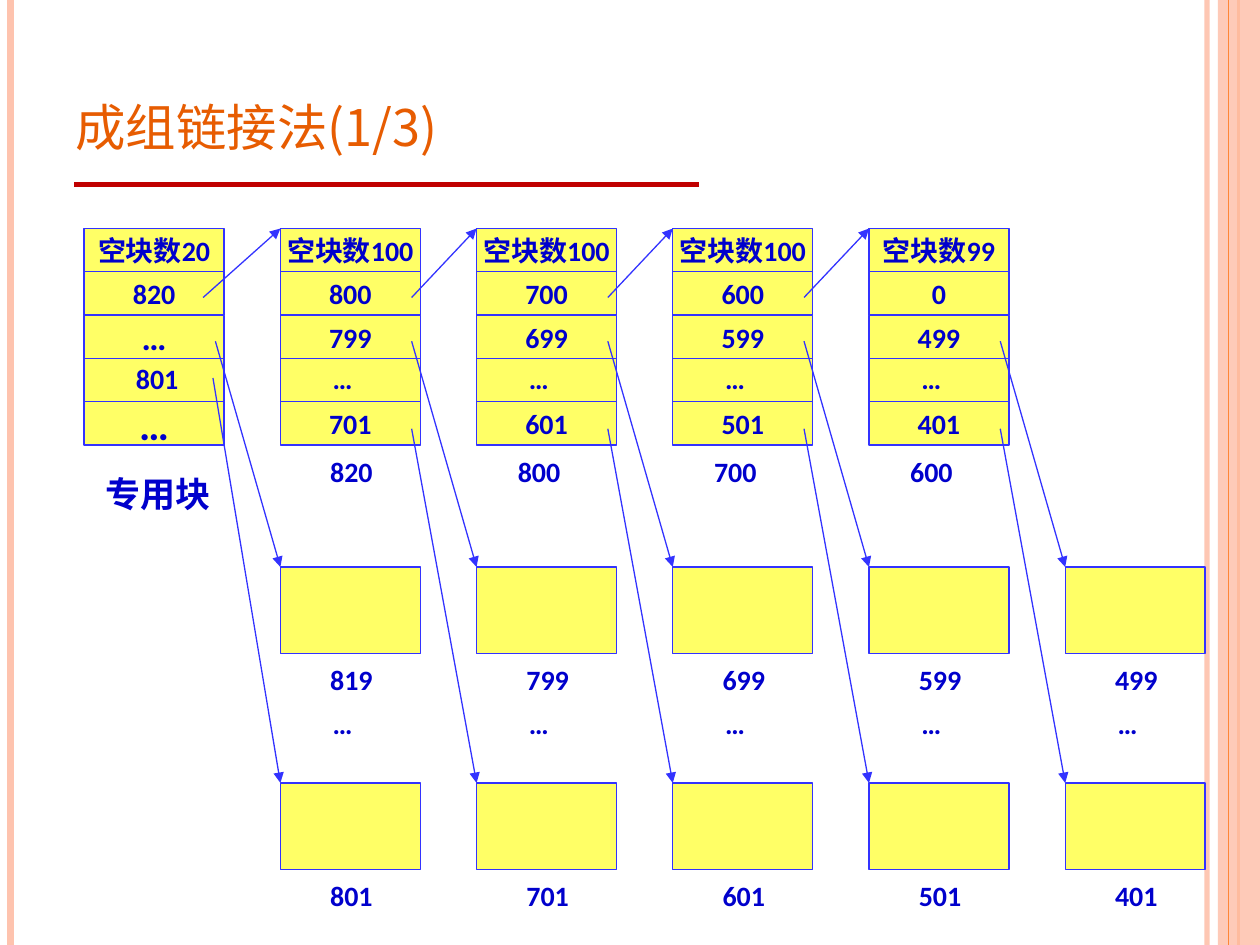
from dataclasses import dataclass

from lxml.etree import SubElement
from pptx import Presentation
from pptx.dml.color import RGBColor
from pptx.enum.shapes import MSO_CONNECTOR as CONN, MSO_SHAPE as SHAPE
from pptx.enum.text import MSO_ANCHOR as ANCHOR, MSO_AUTO_SIZE as AUTO, PP_ALIGN as ALIGN
from pptx.oxml.ns import qn
from pptx.util import Pt

BLUE, YELLOW, PINK, ORANGE = "3333FF", "FFFF66", "FEC3AE", "FE8637"
CJK = "Noto Sans CJK SC"
LEFT, PITCH, WIDTH = 48.1, 112.12, 80
TOP, ROW = 130.6, 24.75
BOX_TOPS, BOX_HEIGHT = (324, 447.4), 49.5


@dataclass
class Group:
    count: str
    first: str
    second: str
    third: str
    last: str
    label: str
    blocks: tuple[str, str]
    label_dx: float = 16.5
    second_size: float = 16
    last_size: float = 16
    third_dx: float = 22.8
    link_dx: float = 75
    next_dx: float = 75
    end_dx: float = 75
    end_y: float = 245


GROUPS = [
    Group("空块数20", "820", "…", "801", "…", "专用块", ("819", "801"), label_dx=5.2,
          second_size=20, last_size=24, third_dx=22.5, link_dx=68, end_dx=73.6, end_y=216),
    Group("空块数100", "800", "799", "…", "701", "820", ("799", "701"), label_dx=21.4),
    Group("空块数100", "700", "699", "…", "601", "800", ("699", "601")),
    Group("空块数100", "600", "599", "…", "501", "700", ("599", "501")),
    Group("空块数99", "0", "499", "…", "401", "600", ("499", "401")),
]


def color(value: str) -> RGBColor:
    return RGBColor.from_string(value)


def set_alpha(fill_owner, percent: int) -> None:
    clr = next(fill_owner.iter(qn("a:srgbClr")))
    SubElement(clr, qn("a:alpha"), val=str(percent * 1000))


def write(sp, text: str, *, size: float = 16, fill: str = "0000CC", bold: bool = True,
          font: str = "Calibri", align=ALIGN.LEFT, anchor=ANCHOR.TOP,
          wrap: bool = False, grow: bool = False, small_caps: bool = False) -> None:
    tf = sp.text_frame
    tf.word_wrap = wrap
    tf.vertical_anchor = anchor
    tf.auto_size = AUTO.SHAPE_TO_FIT_TEXT if grow else AUTO.NONE
    p = tf.paragraphs[0]
    p.alignment = align
    r = p.add_run()
    r.text = text
    r.font.size = Pt(size)
    r.font.bold = bold
    r.font.name = font
    r.font.color.rgb = color(fill)
    props = r.font._element
    SubElement(props, qn("a:ea"), typeface=CJK)
    if small_caps:
        props.set("cap", "small")


def add_label(s, text: str, x: float, y: float, w: float, h: float = 26.6, **fmt) -> None:
    sp = s.shapes.add_textbox(Pt(x), Pt(y), Pt(w), Pt(h))
    write(sp, text, **fmt)


def add_rect(s, x: float, y: float, w: float, h: float, fill: str = YELLOW,
             outline: str | None = BLUE):
    sp = s.shapes.add_shape(SHAPE.RECTANGLE, Pt(x), Pt(y), Pt(w), Pt(h))
    sp.shadow.inherit = False
    sp.fill.solid()
    sp.fill.fore_color.rgb = color(fill)
    if outline:
        sp.line.color.rgb = color(outline)
        sp.line.width = Pt(0.75)
    else:
        sp.line.fill.background()
    return sp


def add_line(s, x1: float, y1: float, x2: float, y2: float, stroke: str = BLUE,
             width: float = 0.75, arrow: bool = False):
    line = s.shapes.add_connector(CONN.STRAIGHT, Pt(x1), Pt(y1), Pt(x2), Pt(y2))
    line.line.color.rgb = color(stroke)
    line.line.width = Pt(width)
    props = line._element.spPr
    if arrow:
        SubElement(props.find(qn("a:ln")), qn("a:tailEnd"), type="triangle")
    SubElement(props, qn("a:effectLst"))
    return line


def add_frame(s) -> None:
    edge = add_line(s, 689.8, 0, 689.8, 540, PINK, 3)
    set_alpha(edge._element.spPr, 93)
    add_line(s, 6, 0, 6, 540, PINK, 4.5)
    add_line(s, 707.8, 0, 707.8, 540, ORANGE, 1.5)
    band = add_rect(s, 696, 0, 24, 540, PINK, None)
    set_alpha(band._element.spPr, 87)
    add_line(s, 702, 0, 702, 540, ORANGE)
    add_line(s, 42.3, 105.6, 399.5, 105.6, "C00000", 3)


def add_group(s, group: Group, x: float) -> None:
    cells = [(group.count, 16), (group.first, 16), (group.second, group.second_size),
             ("", 16), (group.last, group.last_size)]
    for i, (text, size) in enumerate(cells):
        sp = add_rect(s, x, TOP + i * ROW, WIDTH, ROW)
        if text:
            write(sp, text, size=size, align=ALIGN.CENTER, anchor=ANCHOR.MIDDLE)
    third_width = 26 if group.third == "…" else 38.9
    add_label(s, group.third, x + group.third_dx, 203, third_width, grow=True)
    if group.label.isdigit():
        add_label(s, group.label, x + group.label_dx, 256.3, 38.9, grow=True)
    else:
        add_label(s, group.label, x + group.label_dx, 266.4, 74.9, 31.7, size=20, grow=True)


def add_blocks(s, group: Group, x: float) -> None:
    for text, y in zip(group.blocks, BOX_TOPS):
        add_rect(s, x, y, WIDTH, BOX_HEIGHT)
        add_label(s, text, x + 21.4, y + 51.1, 38.9, grow=True)
    add_label(s, "…", x + 22.8, 400.3, 26, grow=True)


def add_links(s, group: Group, x: float, has_next: bool) -> None:
    target = x + PITCH
    if has_next:
        add_line(s, x + group.link_dx, 170, target, TOP, arrow=True)
    add_line(s, x + group.next_dx, 195, target, BOX_TOPS[0], arrow=True)
    add_line(s, x + group.end_dx, group.end_y, target, BOX_TOPS[1], arrow=True)


def main() -> None:
    prs = Presentation()
    prs.slide_width, prs.slide_height = Pt(720), Pt(540)
    s = prs.slides.add_slide(prs.slide_layouts[6])
    add_frame(s)
    add_label(s, "成组链接法(1/3)", 36, 21.6, 588, 72.7, size=36, fill="E75C01",
              bold=False, font=CJK, anchor=ANCHOR.BOTTOM, wrap=True, small_caps=True)
    for i, group in enumerate(GROUPS):
        x = LEFT + i * PITCH
        add_group(s, group, x)
        add_blocks(s, group, x + PITCH)
        add_links(s, group, x, i < len(GROUPS) - 1)
    prs.save("out.pptx")


if __name__ == "__main__":
    main()
